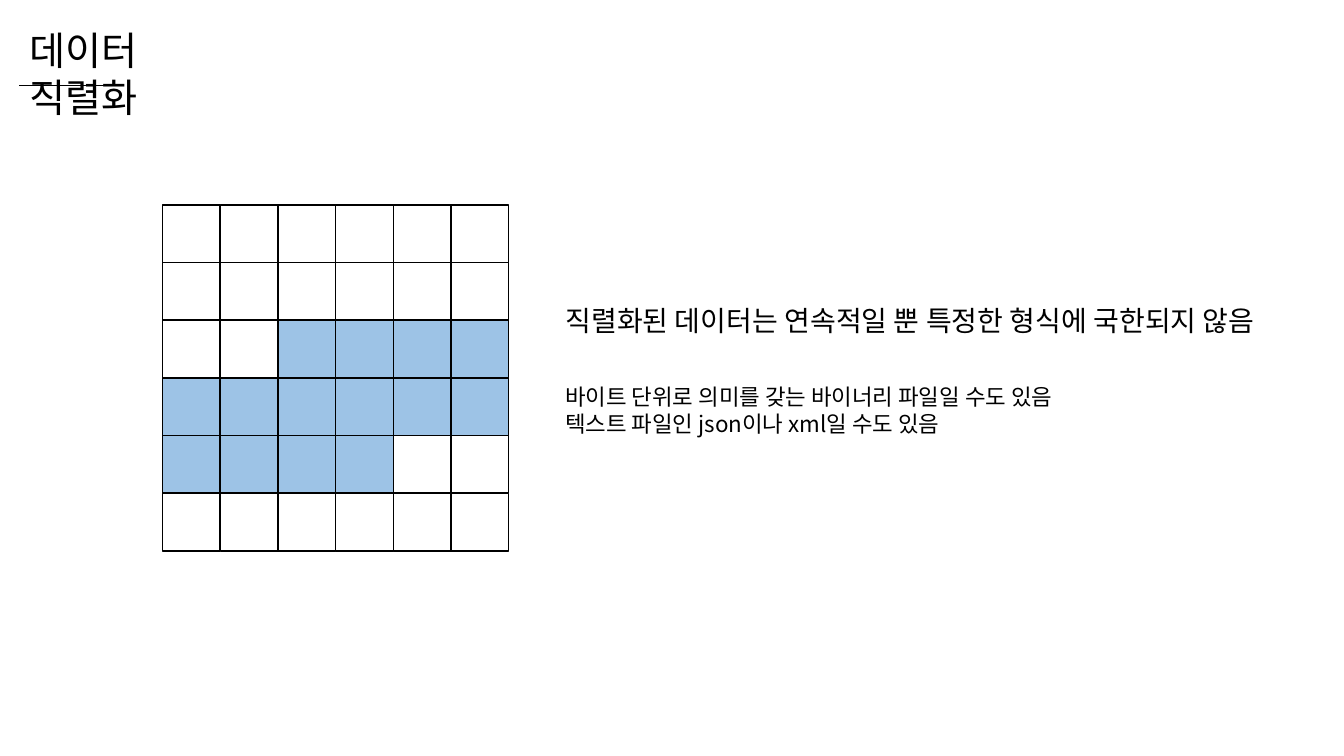
from pptx import Presentation
from pptx.dml.color import RGBColor
from pptx.enum.shapes import MSO_CONNECTOR as Connector, MSO_SHAPE as Shape
from pptx.enum.text import MSO_AUTO_SIZE as AutoSize, PP_ALIGN as Align
from pptx.oxml.ns import qn
from pptx.util import Pt
from lxml.etree import SubElement

COLOURS = {"ink": "000000", "empty": "FFFFFF", "data": "9DC3E6"}
FONT = "Noto Sans CJK KR"
GRID_LEFT, GRID_TOP, CELL, SIDE = 116.1, 146.3, 41.2, 6
DATA_START, DATA_END = 14, 28


def colour(name):
    """Return the named colour."""
    return RGBColor.from_string(COLOURS[name])


def add_text(page, frame, text, size, align=Align.LEFT, wrap=True):
    """Add a text box with one paragraph for each line of text."""
    box = page.shapes.add_textbox(*map(Pt, frame))
    box.text_frame.word_wrap = wrap
    box.text_frame.auto_size = AutoSize.SHAPE_TO_FIT_TEXT
    box.text_frame.text = text
    for para in box.text_frame.paragraphs:
        para.alignment = align
        para.line_spacing = Pt(size * 1.2)
        for span in para.runs:
            span.font.name = FONT
            span.font.size = Pt(size)
            span.font.color.rgb = colour("ink")
            SubElement(span.font._element, qn("a:ea"), typeface=FONT)


def add_memory_grid(page):
    """Add the square grid of cells with one continuous run of data."""
    grid = page.shapes.add_group_shape()
    for index in range(SIDE * SIDE):
        row, column = divmod(index, SIDE)
        cell = grid.shapes.add_shape(
            Shape.RECTANGLE, Pt(GRID_LEFT + column * CELL),
            Pt(GRID_TOP + row * CELL), Pt(CELL), Pt(CELL))
        cell.shadow.inherit = False
        cell.fill.solid()
        filled = DATA_START <= index < DATA_END
        cell.fill.fore_color.rgb = colour("data" if filled else "empty")
        cell.line.color.rgb = colour("ink")
        cell.line.width = Pt(1)


def add_rule(page, left, right, top):
    """Add a thin horizontal line."""
    rule = page.shapes.add_connector(
        Connector.STRAIGHT, Pt(left), Pt(top), Pt(right), Pt(top))
    rule.line.color.rgb = colour("ink")
    rule.line.width = Pt(0.5)
    SubElement(rule._element.spPr, qn("a:effectLst"))


def main():
    """Build the slide and save it."""
    deck = Presentation()
    deck.slide_width, deck.slide_height = Pt(960), Pt(540)
    page = deck.slides.add_slide(deck.slide_layouts[6])
    add_text(page, (392.4, 213.1, 515.5, 31.7),
             "직렬화된 데이터는 연속적일 뿐 특정한 형식에 국한되지 않음",
             20, Align.CENTER, wrap=False)
    add_memory_grid(page)
    add_text(page, (396.7, 270, 365, 46.1),
             "바이트 단위로 의미를 갖는 바이너리 파일일 수도 있음\n"
             "텍스트 파일인 json이나 xml일 수도 있음", 16)
    add_text(page, (13.7, 15.1, 167.8, 41), "데이터 직렬화", 28)
    add_rule(page, 13.7, 77.8, 61.2)
    deck.save("out.pptx")


main()
